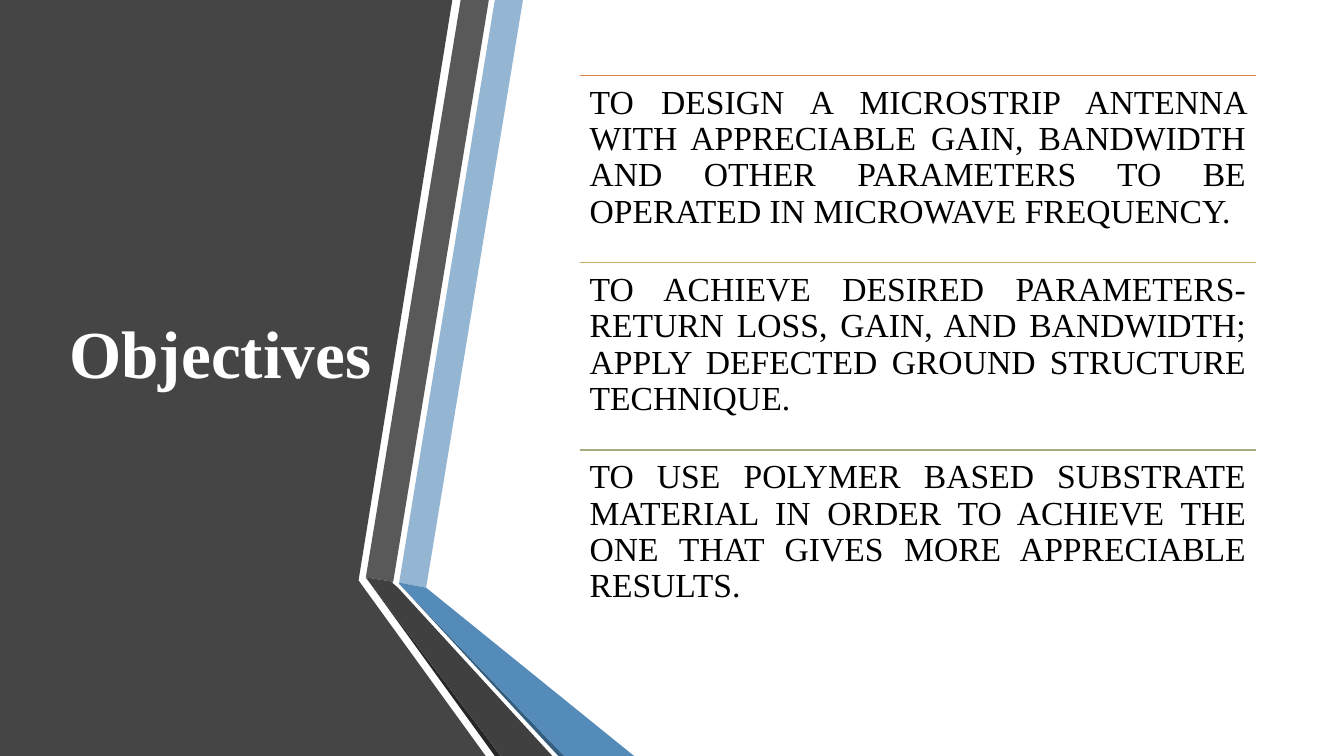
from pptx import Presentation
from pptx.dml.color import RGBColor
from pptx.enum.shapes import MSO_CONNECTOR
from pptx.enum.text import MSO_ANCHOR, PP_ALIGN
from pptx.oxml.ns import qn
from pptx.util import Cm, Pt
from lxml import etree

STRAIGHT = MSO_CONNECTOR.STRAIGHT
TOP, MIDDLE = MSO_ANCHOR.TOP, MSO_ANCHOR.MIDDLE
LEFT, JUSTIFY = PP_ALIGN.LEFT, PP_ALIGN.JUSTIFY

FONT = "Times New Roman"
WHITE = RGBColor(0xFF, 0xFF, 0xFF)
BLACK = RGBColor(0x00, 0x00, 0x00)
PANEL_GRAY = RGBColor(0x45, 0x45, 0x45)
BAND_GRAY = RGBColor(0x59, 0x59, 0x59)
FOLD_GRAY = RGBColor(0x40, 0x40, 0x40)
EDGE_GRAY = RGBColor(0x26, 0x26, 0x26)
BAND_BLUE = RGBColor(0x94, 0xB6, 0xD2)
FOLD_BLUE = RGBColor(0x55, 0x8B, 0xB8)
EDGE_BLUE = RGBColor(0x35, 0x5D, 0x7E)
ORANGE = RGBColor(0xDD, 0x80, 0x47)
GOLD = RGBColor(0xC4, 0xAD, 0x64)
SAGE = RGBColor(0xA5, 0xAB, 0x81)

# Slide size and objective rows, in centimetres
WIDTH, HEIGHT = 33.87, 19.05
ROW_LEFT, ROW_TOP, ROW_WIDTH, ROW_HEIGHT = 14.61, 1.9, 17.04, 4.72

# Outlines from back to front, in centimetres
PANEL = (PANEL_GRAY, [(0, 0), (11.4, 0), (9.04, 14.61), (9.04, 14.63),
                      (12.24, HEIGHT), (0, HEIGHT)])
RIBBONS = [
    (BAND_BLUE, [(10.06, 14.68), (10.74, 14.81), (13.18, 0), (12.47, 0)]),
    (BAND_GRAY, [(12.32, 0), (11.61, 0), (9.22, 14.55), (9.91, 14.66)]),
    (EDGE_GRAY, [(9.22, 14.55), (12.47, HEIGHT), (12.62, HEIGHT)]),
    (EDGE_BLUE, [(10.06, 14.71), (14.07, HEIGHT), (14.22, HEIGHT)]),
    (FOLD_BLUE, [(10.06, 14.71), (14.22, HEIGHT), (15.98, HEIGHT),
                 (10.74, 14.81), (10.06, 14.68)]),
    (FOLD_GRAY, [(13.92, HEIGHT), (10.03, 14.81), (9.88, 14.68),
                 (9.91, 14.66), (9.22, 14.55), (12.62, HEIGHT)]),
]

OBJECTIVES = [
    (ORANGE, "TO DESIGN A MICROSTRIP ANTENNA WITH APPRECIABLE GAIN, BANDWIDTH "
             "AND OTHER PARAMETERS TO BE OPERATED IN MICROWAVE FREQUENCY."),
    (GOLD, "TO ACHIEVE DESIRED PARAMETERS- RETURN LOSS, GAIN, AND BANDWIDTH; "
           "APPLY DEFECTED GROUND STRUCTURE TECHNIQUE."),
    (SAGE, "TO USE POLYMER BASED SUBSTRATE MATERIAL IN ORDER TO ACHIEVE "
           "THE ONE THAT GIVES MORE APPRECIABLE RESULTS."),
]


def add_outline(slide, color, points):
    corners = [(Cm(x), Cm(y)) for x, y in points]
    builder = slide.shapes.build_freeform(*corners[0], scale=1.0)
    builder.add_line_segments(corners[1:], close=True)
    shape = builder.convert_to_shape()
    shape.shadow.inherit = False
    shape.fill.solid()
    shape.fill.fore_color.rgb = color
    shape.line.fill.background()


def add_rule(slide, color, left, top, width):
    rule = slide.shapes.add_connector(
        STRAIGHT, Cm(left), Cm(top), Cm(left + width), Cm(top))
    rule.line.color.rgb = color
    rule.line.width = Pt(1)
    etree.SubElement(rule._element.spPr, qn("a:effectLst"))


def add_text(slide, text, left, top, width, height, size, color,
             bold=False, align=LEFT, anchor=TOP):
    box = slide.shapes.add_textbox(Cm(left), Cm(top), Cm(width), Cm(height))
    frame = box.text_frame
    frame.word_wrap = True
    frame.vertical_anchor = anchor
    frame.margin_left = frame.margin_right = Cm(0.25)
    frame.margin_top = frame.margin_bottom = Cm(0.25)
    paragraph = frame.paragraphs[0]
    paragraph.text = text
    paragraph.alignment = align
    paragraph.line_spacing = 0.9
    paragraph.font.name = FONT
    paragraph.font.size = Pt(size)
    paragraph.font.bold = bold
    paragraph.font.color.rgb = color


def main():
    presentation = Presentation()
    presentation.slide_width, presentation.slide_height = Cm(WIDTH), Cm(HEIGHT)
    slide = presentation.slides.add_slide(presentation.slide_layouts[6])

    # Dark panel and folded ribbons
    for color, points in [PANEL, *RIBBONS]:
        add_outline(slide, color, points)

    # Title
    add_text(slide, "Objectives", 1.5, 1.9, 8.26, 14.17, 48, WHITE,
             bold=True, anchor=MIDDLE)

    # Objectives, each under a coloured rule
    for index, (color, text) in enumerate(OBJECTIVES):
        top = ROW_TOP + index * ROW_HEIGHT
        add_rule(slide, color, ROW_LEFT, top, ROW_WIDTH)
        add_text(slide, text, ROW_LEFT, top, ROW_WIDTH, ROW_HEIGHT, 24, BLACK,
                 align=JUSTIFY)

    presentation.save("out.pptx")


if __name__ == "__main__":
    main()
